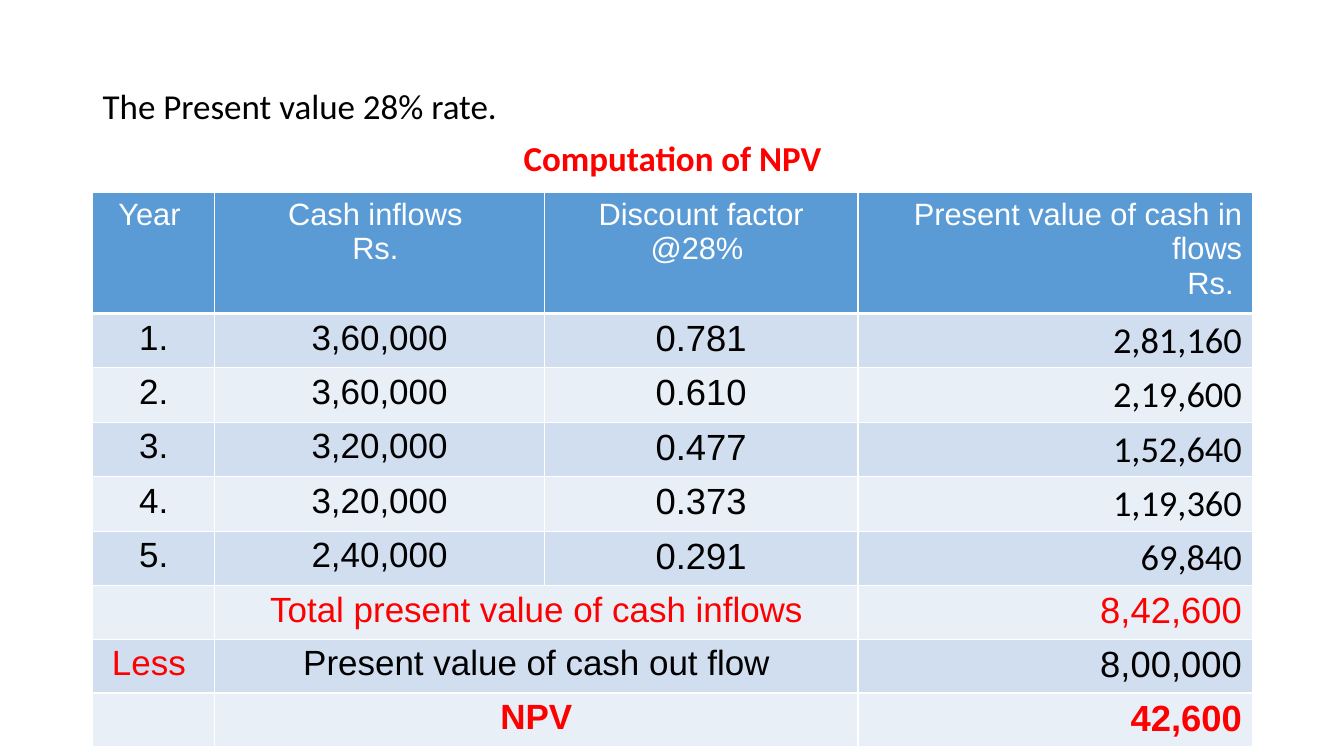
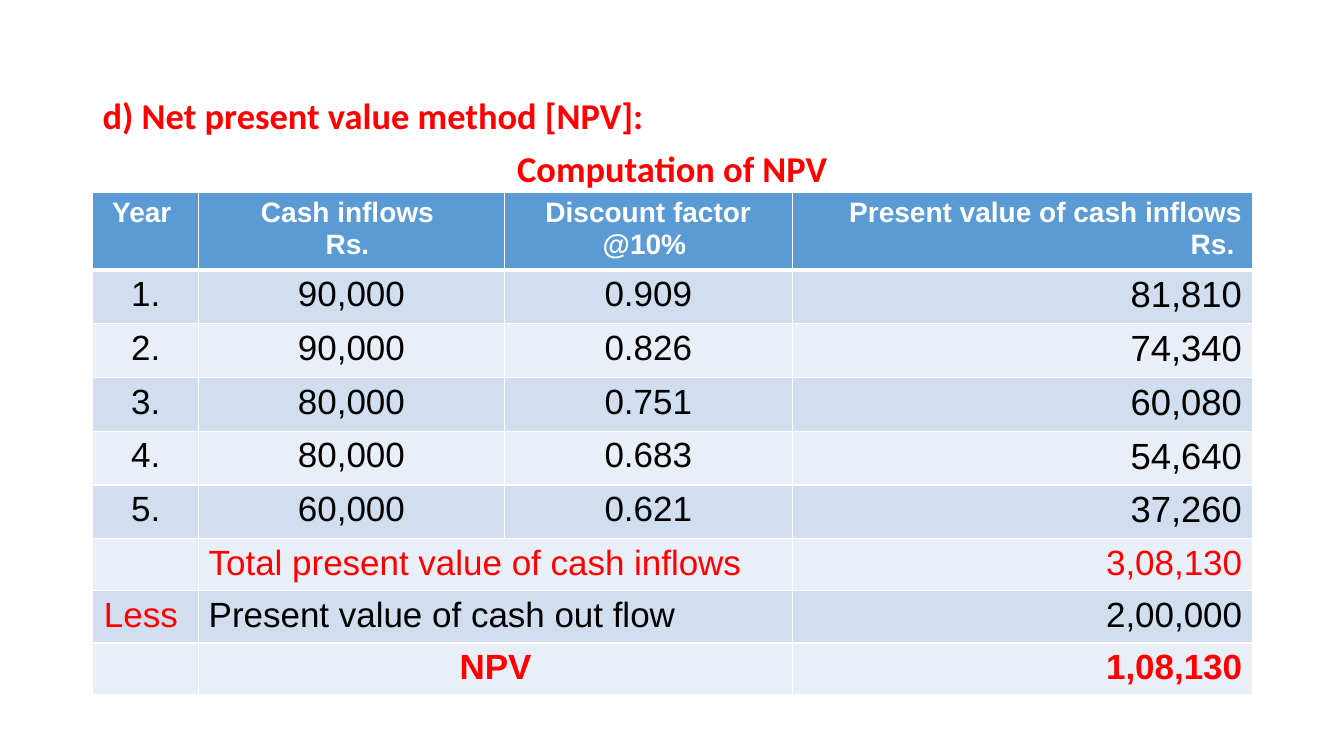
from lxml.etree import SubElement
from pptx import Presentation
from pptx.dml.color import RGBColor
from pptx.enum.text import PP_ALIGN as Align
from pptx.oxml.ns import qn
from pptx.util import Pt

PX = 9144
RED = RGBColor(0xFF, 0x00, 0x00)
BLACK = RGBColor(0x00, 0x00, 0x00)
WHITE = RGBColor(0xFF, 0xFF, 0xFF)
HEADER_BLUE = RGBColor(0x5B, 0x9B, 0xD5)
BANDS = (RGBColor(0xD0, 0xDE, 0xEF), RGBColor(0xE9, 0xEF, 0xF7))
LEFT, TABLE_TOP, WIDTH = 92, 191, 1150
COLUMN_ALIGN = (Align.CENTER, Align.CENTER, Align.CENTER, Align.RIGHT)

PAGES = [
    {
        "intro": ("The Present value 28% rate.", dict(size=25, color=BLACK)),
        "heading_top": 84, "heading_size": 25,
        "widths": (121, 327, 311, 391), "heights": (112, 54, 50),
        "header": ("Year ", "Cash inflows \nRs. ", "Discount factor @28% ",
                   "Present value of cash in flows\nRs. "),
        "header_format": dict(size=22),
        "years": [
            ("1.", "3,60,000", "0.781", "2,81,160"),
            ("2.", "3,60,000", "0.610", "2,19,600"),
            ("3.", "3,20,000", "0.477", "1,52,640"),
            ("4.", "3,20,000", "0.373", "1,19,360"),
            ("5.", "2,40,000", "0.291", "69,840"),
        ],
        "factor_size": 26, "value_font": "Calibri",
        "totals": ("8,42,600", "8,00,000", "42,600"),
        "total_size": 26, "label_align": Align.CENTER,
    },
    {
        "intro": ("d) Net present value method [NPV]:",
                  dict(size=26, color=RED, bold=True)),
        "heading_top": 92, "heading_size": 26,
        "widths": (105, 303, 286, 456), "heights": (71, 50, 49),
        "header": ("Year ", "Cash inflows \nRs. ", "Discount factor @10% ",
                   "Present value of cash inflows\nRs. "),
        "header_format": dict(size=20, bold=True),
        "years": [
            ("1.", "90,000", "0.909", "81,810"),
            ("2.", "90,000", "0.826", "74,340"),
            ("3.", "80,000", "0.751", "60,080"),
            ("4.", "80,000", "0.683", "54,640"),
            ("5.", "60,000", "0.621", "37,260"),
        ],
        "factor_size": 25, "value_font": "Arial",
        "totals": ("3,08,130", "2,00,000", "1,08,130"),
        "total_size": 25, "label_align": Align.LEFT,
    },
]


def write(frame, text, size=25, font="Arial", color=BLACK, bold=False,
          align=Align.LEFT, spacing=None, before=None, append=False):
    for index, line in enumerate(text.split("\n")):
        fresh = append or index > 0
        paragraph = frame.add_paragraph() if fresh else frame.paragraphs[0]
        paragraph.alignment = align
        paragraph.line_spacing = spacing
        if before is not None:
            paragraph.space_before = Pt(before)
        run = paragraph.add_run()
        run.text = line
        run.font.size, run.font.name, run.font.bold = Pt(size), font, bold
        run.font.color.rgb = color


def style_cell(cell, row):
    properties = cell._tc.get_or_add_tcPr()
    thick_side = {0: "B", 1: "T"}.get(row)
    for side in "LRTB":
        weight = 3 if side == thick_side else 1
        border = SubElement(properties, qn(f"a:ln{side}"), w=str(Pt(weight)))
        fill = SubElement(border, qn("a:solidFill"))
        SubElement(fill, qn("a:srgbClr"), val=str(WHITE))
    cell.fill.solid()
    cell.fill.fore_color.rgb = BANDS[(row - 1) % 2] if row else HEADER_BLUE


def add_headings(slide, page):
    box = slide.shapes.add_textbox(LEFT * PX, page["heading_top"] * PX,
                                   WIDTH * PX, 100 * PX)
    frame = box.text_frame
    frame.word_wrap = True
    intro, intro_format = page["intro"]
    write(frame, intro, font="Calibri", spacing=0.9, **intro_format)
    write(frame, "Computation of NPV", size=page["heading_size"], font="Calibri",
          color=RED, bold=True, align=Align.CENTER, spacing=0.9, before=10,
          append=True)


def add_npv_table(slide, page):
    header_height, year_height, total_height = page["heights"]
    years = page["years"]
    heights = [header_height] + [year_height] * len(years) + [total_height] * 3
    table = slide.shapes.add_table(
        len(heights), len(page["widths"]), LEFT * PX, TABLE_TOP * PX,
        WIDTH * PX, sum(heights) * PX).table
    for column, width in zip(table.columns, page["widths"]):
        column.width = width * PX
    for row, height in enumerate(heights):
        table.rows[row].height = height * PX
        for cell in table.rows[row].cells:
            style_cell(cell, row)

    for column, title in enumerate(page["header"]):
        write(table.cell(0, column).text_frame, title, color=WHITE,
              align=COLUMN_ALIGN[column], **page["header_format"])

    year_formats = ({}, {}, dict(size=page["factor_size"]),
                    dict(size=26, font=page["value_font"]))
    for row, year in enumerate(years, 1):
        for column, entry in enumerate(year):
            write(table.cell(row, column).text_frame, entry,
                  align=COLUMN_ALIGN[column], **year_formats[column])

    summary = [
        ("", "Total present value of cash inflows", RED, False, page["label_align"]),
        ("Less ", "Present value of cash out flow", BLACK, False, page["label_align"]),
        ("", "NPV", RED, True, Align.CENTER),
    ]
    for row, (line, total) in enumerate(zip(summary, page["totals"]), len(years) + 1):
        sign, label, color, bold, align = line
        table.cell(row, 1).merge(table.cell(row, 2))
        if sign:
            write(table.cell(row, 0).text_frame, sign, color=RED, align=Align.CENTER)
        write(table.cell(row, 1).text_frame, label, color=color, bold=bold, align=align)
        write(table.cell(row, 3).text_frame, total, size=page["total_size"],
              color=color, bold=bold, align=Align.RIGHT)


def main():
    deck = Presentation()
    deck.slide_width, deck.slide_height = 1333 * PX, 750 * PX
    for page in PAGES:
        slide = deck.slides.add_slide(deck.slide_layouts[6])
        add_headings(slide, page)
        add_npv_table(slide, page)
    deck.save("out.pptx")


if __name__ == "__main__":
    main()
